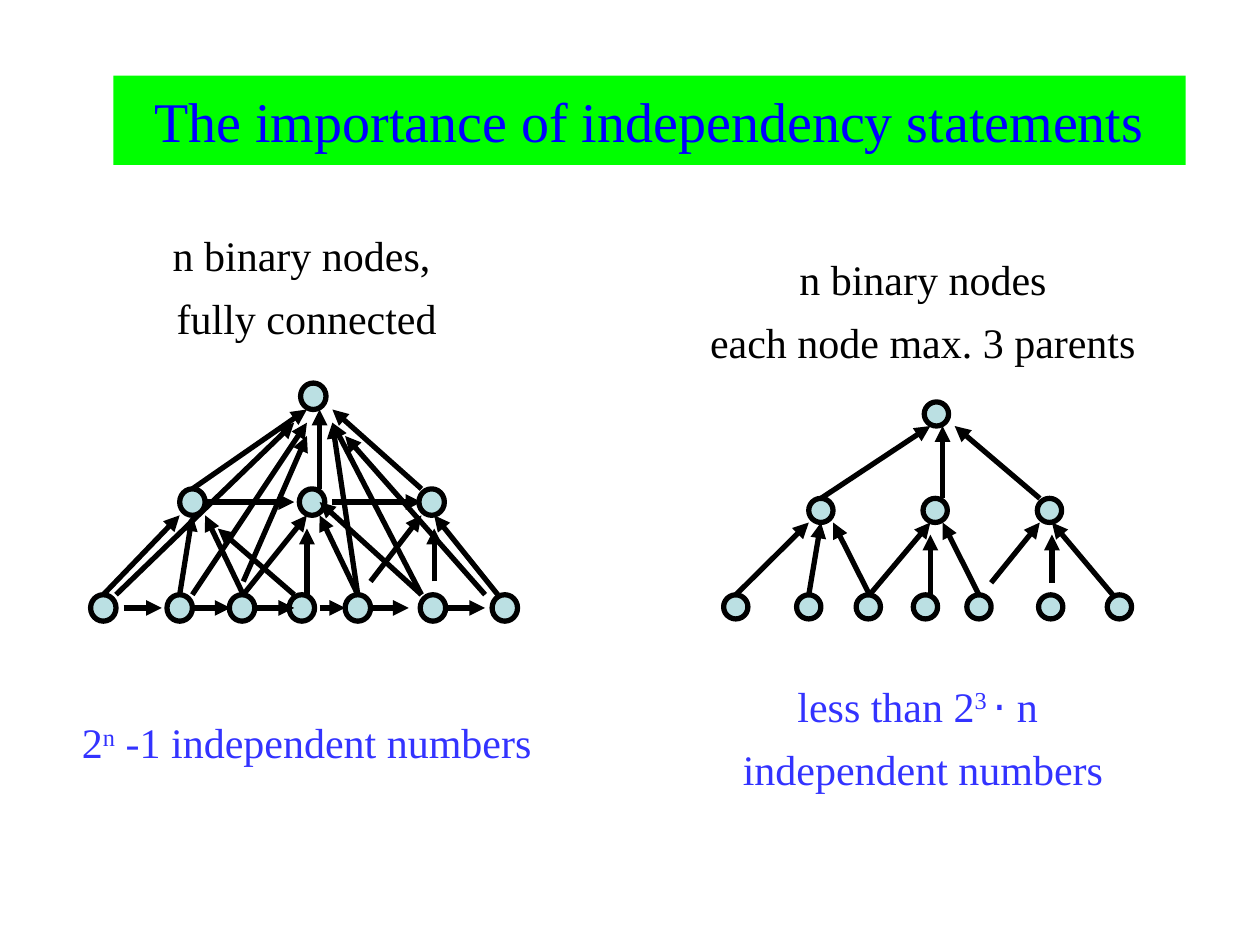
from lxml.etree import SubElement
from pptx import Presentation
from pptx.dml.color import RGBColor
from pptx.enum.shapes import MSO_CONNECTOR, MSO_SHAPE
from pptx.enum.text import MSO_ANCHOR, PP_ALIGN
from pptx.oxml.ns import qn
from pptx.util import Inches, Pt

BLACK = RGBColor(0x00, 0x00, 0x00)
GREEN = RGBColor(0x00, 0xFF, 0x00)
TITLE_BLUE = RGBColor(0x00, 0x00, 0xFF)
RESULT_BLUE = RGBColor(0x33, 0x33, 0xFF)
NODE_FILL = RGBColor(0xBB, 0xE0, 0xE3)
SERIF = "Times New Roman"
LINE_WIDTH = Pt(3)
TEXT_WIDTH = 3.87

# Grid columns of node centres, keyed by the grid row of their tops.
NODE_ROWS = {
    0: [16.5],
    8: [7, 16.4, 25.8],
    16: [0, 6, 10.9, 15.6, 20, 25.9, 31.55],
}
PARENT_ARROWS = [
    (7, 8, 16, 2), (17, 8, 17, 2), (25, 8, 18, 2),
    (0, 16, 6, 10), (6, 16, 7, 10), (11, 16, 8, 10),
    (11, 16, 16, 10), (16, 16, 16, 11), (20, 16, 17, 10),
    (21, 15, 25, 10), (26, 15, 26, 11), (31, 16, 26, 10),
]
SIBLING_ARROWS = [(start, 9, end, 9) for start, end in [(8, 15), (18, 25)]] + [
    (start, 17, end, 17)
    for start, end in [(1.6, 4.6), (7, 10), (12, 15), (17, 19), (21, 24), (27, 30)]
]
EXTRA_ARROWS = [
    (15, 16, 9, 11), (25, 16, 17, 9), (7, 16, 16, 3), (25, 16, 18, 3),
    (1, 16, 15, 3), (30, 16, 19, 4), (20, 16, 18, 3), (11, 15, 16, 4),
]


def add_title(slide, text):
    title = slide.shapes.title
    title.left, title.top = Inches(0.9), Inches(0.6)
    title.width, title.height = Inches(8.51), Inches(0.71)
    title.fill.solid()
    title.fill.fore_color.rgb = GREEN
    frame = title.text_frame
    frame.text = text
    frame.vertical_anchor = MSO_ANCHOR.MIDDLE
    paragraph = frame.paragraphs[0]
    paragraph.alignment = PP_ALIGN.CENTER
    paragraph.font.name = SERIF
    paragraph.font.size = Pt(32)
    paragraph.font.color.rgb = TITLE_BLUE


def add_text(slide, left, top, lines, color):
    box = slide.shapes.add_textbox(
        Inches(left), Inches(top), Inches(TEXT_WIDTH), Inches(0.5 * len(lines))
    )
    frame = box.text_frame
    frame.word_wrap = True
    for index, runs in enumerate(lines):
        paragraph = frame.paragraphs[0] if index == 0 else frame.add_paragraph()
        paragraph.alignment = PP_ALIGN.CENTER
        paragraph.space_before = Pt(7.2 if index else 0)
        paragraph.font.size = Pt(24)
        paragraph.font.color.rgb = color
        for text, font_name, raised in runs:
            run = paragraph.add_run()
            run.text = text
            run.font.name = font_name
            if raised:
                run.font._element.set("baseline", "30000")


def plain(text):
    return [(text, SERIF, False)]


def add_node(slide, left, top, width, height):
    node = slide.shapes.add_shape(MSO_SHAPE.OVAL, left, top, width, height)
    node.shadow.inherit = False
    node.fill.solid()
    node.fill.fore_color.rgb = NODE_FILL
    node.line.color.rgb = BLACK
    node.line.width = LINE_WIDTH


def add_arrow(slide, start, end):
    arrow = slide.shapes.add_connector(MSO_CONNECTOR.STRAIGHT, *start, *end)
    arrow.line.color.rgb = BLACK
    arrow.line.width = LINE_WIDTH
    SubElement(arrow.line._get_or_add_ln(), qn("a:tailEnd"), type="triangle")
    SubElement(arrow._element.spPr, qn("a:effectLst"))


def add_network(slide, left, top, column, row, arrows):
    def point(x, y):
        return Inches(left + x * column), Inches(top + y * row)

    for node_row, centres in NODE_ROWS.items():
        for centre in centres:
            add_node(slide, *point(centre - 1, node_row),
                     Inches(2 * column), Inches(2 * row))
    for start_x, start_y, end_x, end_y in arrows:
        add_arrow(slide, point(start_x, start_y), point(end_x, end_y))


def main():
    presentation = Presentation()
    presentation.slide_width = Inches(10)
    presentation.slide_height = Inches(7.5)
    slide = presentation.slides.add_slide(presentation.slide_layouts[5])

    add_title(slide, "The importance of independency statements")
    add_text(slide, 0.5, 1.77,
             [plain("n binary nodes, "), plain("fully connected")], BLACK)
    add_text(slide, 0.5, 5.64,
             [[("2", SERIF, False), ("n", SERIF, True),
               (" -1 independent numbers", SERIF, False)]], RESULT_BLUE)
    add_text(slide, 5.39, 1.96,
             [plain("n binary nodes"), plain("each node max. 3 parents")], BLACK)
    add_text(slide, 5.39, 5.35,
             [[("less than 2", SERIF, False), ("3 ", SERIF, True),
               ("⋅", "Arial", False), (" n ", SERIF, False)],
              plain("independent numbers")], RESULT_BLUE)

    add_network(slide, 5.84, 3.19, 0.0965, 0.0957, PARENT_ARROWS)
    add_network(slide, 0.82, 3.04, 0.101, 0.105,
                PARENT_ARROWS + SIBLING_ARROWS + EXTRA_ARROWS)

    presentation.save("out.pptx")


if __name__ == "__main__":
    main()
